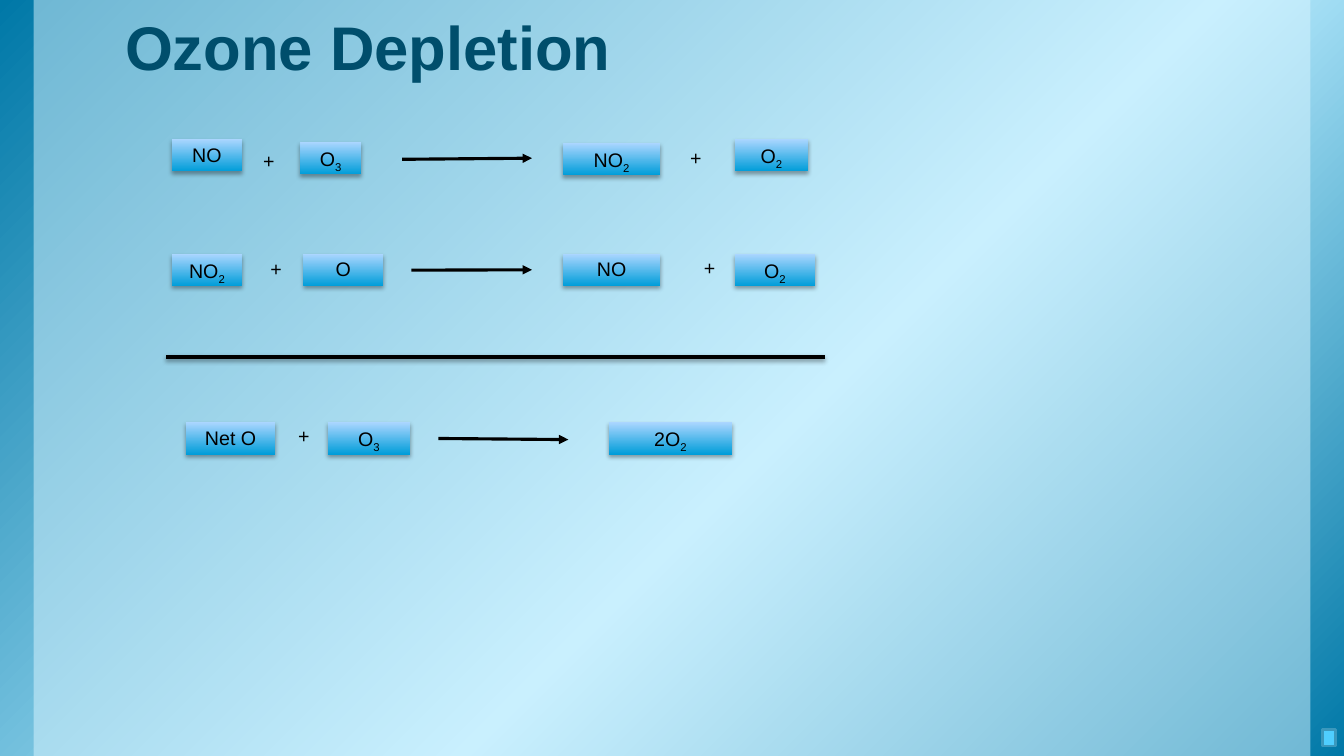
from copy import deepcopy
from dataclasses import dataclass
from itertools import groupby

from lxml.etree import SubElement
from pptx import Presentation
from pptx.dml.color import RGBColor
from pptx.enum.shapes import MSO_CONNECTOR, MSO_SHAPE
from pptx.enum.text import MSO_ANCHOR, MSO_AUTO_SIZE, PP_ALIGN
from pptx.oxml.ns import qn
from pptx.util import Pt


@dataclass(frozen=True)
class Theme:
    font: str = "Arial"
    title_size: int = 44
    formula_size: int = 14
    title: str = "004E6C"
    ink: str = "000000"
    backdrop: tuple = ((0, "0078A7"), (0.58, "B8EBFE"), (1, "0078A7"))
    box: tuple = ((0, "009DD9"), (1, "ABD6FF"))
    panel: str = "DBF5FF"
    marker: str = "4FCEFF"
    marker_line: str = "3A98BD"


THEME = Theme()
WIDTH, HEIGHT = 960, 540
BOX_HEIGHT = 23


def color(value):
    return RGBColor.from_string(value)


def add_effects(sp, shadow=False):
    effects = SubElement(sp._element.spPr, qn("a:effectLst"))
    if shadow:
        outer = SubElement(effects, qn("a:outerShdw"), blurRad=str(Pt(3.1)),
                           dist=str(Pt(1.8)), dir="5400000", rotWithShape="0")
        ink = SubElement(outer, qn("a:srgbClr"), val=THEME.ink)
        SubElement(ink, qn("a:alpha"), val="35000")


def add_rect(slide, x, y, w, h, shadow=False):
    sp = slide.shapes.add_shape(MSO_SHAPE.RECTANGLE, Pt(x), Pt(y), Pt(w), Pt(h))
    sp.line.fill.background()
    add_effects(sp, shadow)
    return sp


def fill_solid(sp, value, alpha=None):
    sp.fill.solid()
    sp.fill.fore_color.rgb = color(value)
    if alpha:
        clr = sp._element.spPr.find(qn("a:solidFill")).find(qn("a:srgbClr"))
        SubElement(clr, qn("a:alpha"), val=str(alpha * 1000))


def fill_gradient(sp, stops, angle):
    sp.fill.gradient()
    sp.fill.gradient_angle = angle
    stop_list = sp._element.spPr.find(qn("a:gradFill")).find(qn("a:gsLst"))
    while len(stop_list) < len(stops):
        stop_list.append(deepcopy(stop_list[0]))
    for stop, (position, value) in zip(sp.fill.gradient_stops, stops):
        stop.position = position
        stop.color.rgb = color(value)


def style_paragraph(p, size, value, spacing, bold=False):
    p.line_spacing = spacing
    p.font.name = THEME.font
    p.font.size = Pt(size)
    p.font.bold = bold
    p.font.color.rgb = color(value)


def write_formula(sp, formula):
    tf = sp.text_frame
    tf.word_wrap = True
    tf.auto_size = MSO_AUTO_SIZE.SHAPE_TO_FIT_TEXT
    tf.vertical_anchor = MSO_ANCHOR.TOP
    p = tf.paragraphs[0]
    p.alignment = PP_ALIGN.CENTER
    style_paragraph(p, THEME.formula_size, THEME.ink, 0.95)
    for i, (is_digit, chars) in enumerate(groupby(formula, str.isdigit)):
        r = p.add_run()
        r.text = "".join(chars)
        if is_digit and i:
            r._r.get_or_add_rPr().set("baseline", "-25000")


def add_formula(slide, formula, x, y, w):
    sp = add_rect(slide, x, y, w, BOX_HEIGHT, shadow=True)
    fill_gradient(sp, THEME.box, 90)
    write_formula(sp, formula)


def add_plus(slide, center, y):
    w = 40
    sp = slide.shapes.add_textbox(Pt(center - w / 2), Pt(y), Pt(w), Pt(BOX_HEIGHT))
    write_formula(sp, "+")


def add_line(slide, x1, y1, x2, y2, width, arrow=False, shadow=False):
    line = slide.shapes.add_connector(
        MSO_CONNECTOR.STRAIGHT, Pt(x1), Pt(y1), Pt(x2), Pt(y2))
    line.line.color.rgb = color(THEME.ink)
    line.line.width = Pt(width)
    if arrow:
        SubElement(line.line._get_or_add_ln(), qn("a:tailEnd"), type="triangle")
    add_effects(line, shadow)


def add_reaction(slide, formulas, pluses, arrow):
    for formula in formulas:
        add_formula(slide, *formula)
    for plus in pluses:
        add_plus(slide, *plus)
    add_line(slide, *arrow, width=2.25, arrow=True)


def add_background(slide):
    fill_gradient(add_rect(slide, 0, 0, WIDTH, HEIGHT), THEME.backdrop, 315)
    fill_solid(add_rect(slide, 24, 0, 912, HEIGHT), THEME.panel, alpha=50)


def add_title(slide, text):
    sp = slide.shapes.add_textbox(Pt(80), Pt(3.6), Pt(800), Pt(110))
    tf = sp.text_frame
    tf.word_wrap = True
    tf.margin_left = tf.margin_right = Pt(9.4)
    tf.margin_top = Pt(11)
    p = tf.paragraphs[0]
    p.text = text
    style_paragraph(p, THEME.title_size, THEME.title, 0.85, bold=True)


def add_marker(slide):
    sp = add_rect(slide, 944.6, 521.3, 9.4, 11.5)
    sp.rotation = 180
    fill_solid(sp, THEME.marker)
    sp.line.color.rgb = color(THEME.marker_line)
    sp.line.width = Pt(2)


def main():
    prs = Presentation()
    prs.slide_width, prs.slide_height = Pt(WIDTH), Pt(HEIGHT)
    slide = prs.slides.add_slide(prs.slide_layouts[6])
    add_background(slide)
    add_title(slide, "Ozone Depletion")
    add_reaction(
        slide,
        [("NO", 123, 99.4, 49.7), ("O3", 214.5, 101.5, 43.3),
         ("NO2", 402.4, 102.2, 69), ("O2", 525, 99.4, 52)],
        [(192, 103.7), (497, 102.2)],
        (287.3, 113.8, 380, 113))
    add_reaction(
        slide,
        [("NO2", 123, 181.4, 49.7), ("O", 216.7, 181.4, 57),
         ("NO", 402.4, 181.4, 69), ("O2", 525, 181.4, 57)],
        [(197.3, 181.4), (506.8, 180.7)],
        (293.8, 193, 380, 192.7))
    add_reaction(
        slide,
        [("Net O", 133, 301.7, 63.4), ("O3", 234, 301.7, 59),
         ("2O2", 435, 301.7, 87.8)],
        [(217, 300.2)],
        (313.2, 313.2, 406, 314))
    add_line(slide, 118.8, 254.9, 589, 254.9, width=3, shadow=True)
    add_marker(slide)
    prs.save("out.pptx")


if __name__ == "__main__":
    main()
